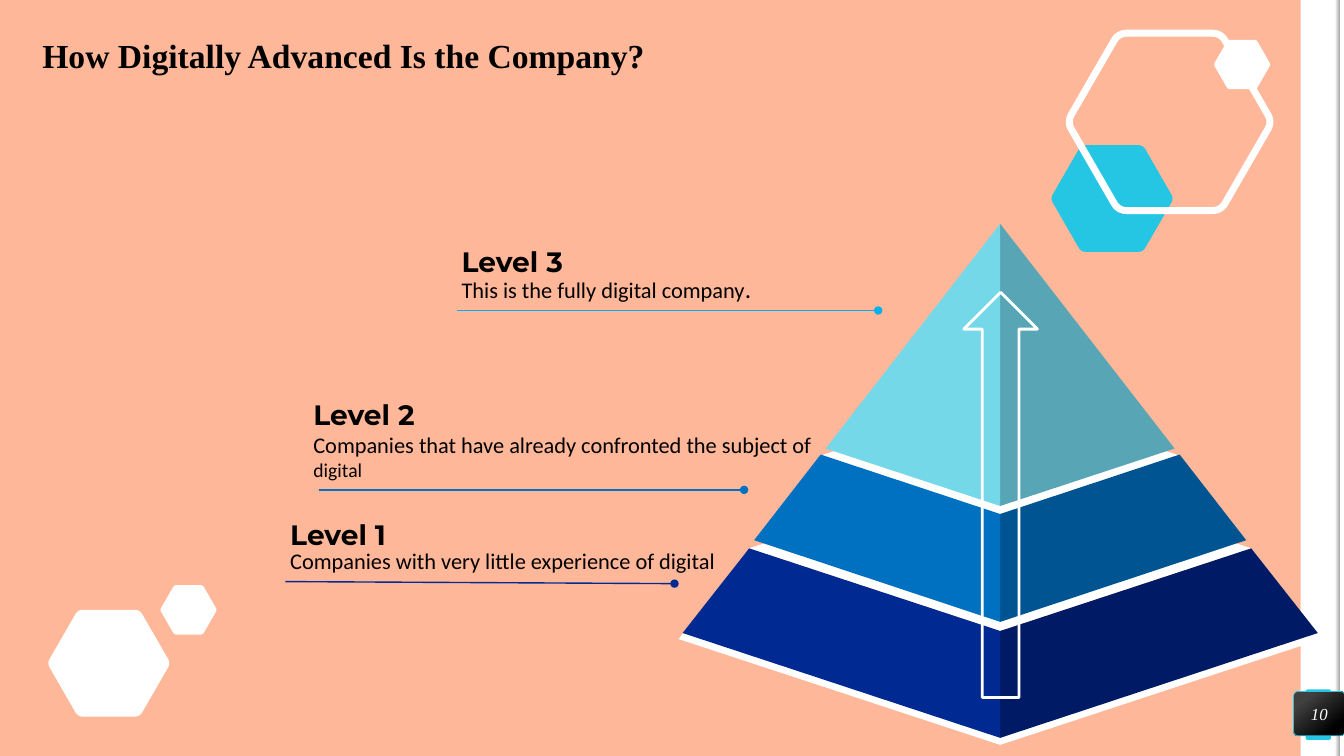
from math import cos, pi, sin, sqrt

from lxml.etree import SubElement
from pptx import Presentation
from pptx.dml.color import RGBColor
from pptx.enum.shapes import MSO_CONNECTOR, MSO_SHAPE
from pptx.enum.text import MSO_ANCHOR, PP_ALIGN
from pptx.oxml.ns import qn
from pptx.util import Inches, Pt

PEACH = RGBColor(0xFF, 0xB7, 0x99)
WHITE = RGBColor(0xFF, 0xFF, 0xFF)
BLACK = RGBColor(0x00, 0x00, 0x00)
CHARCOAL = RGBColor(0x40, 0x40, 0x40)
GREY = RGBColor(0xA6, 0xA6, 0xA6)
CYAN = RGBColor(0x25, 0xC6, 0xE3)
SKY = RGBColor(0x00, 0xB0, 0xF0)
BLUE = RGBColor(0x00, 0x70, 0xC0)
BLUE_SHADE = RGBColor(0x00, 0x54, 0x92)
NAVY = RGBColor(0x00, 0x2A, 0x92)
NAVY_SHADE = RGBColor(0x00, 0x1A, 0x66)
AQUA = RGBColor(0x75, 0xD8, 0xE9)
AQUA_SHADE = RGBColor(0x58, 0xA6, 0xB5)

AXIS = 9.92  # vertical centre line of the pyramid


def style(shape, fill=None, line=None, line_width=1):
    shape.shadow.inherit = False
    if fill is None:
        shape.fill.background()
    else:
        shape.fill.solid()
        shape.fill.fore_color.rgb = fill
    if line is None:
        shape.line.fill.background()
    else:
        shape.line.color.rgb = line
        shape.line.width = Pt(line_width)
    return shape


def add_preset(slide, kind, left, top, width, height, **look):
    shape = slide.shapes.add_shape(
        kind, Inches(left), Inches(top), Inches(width), Inches(height))
    return style(shape, **look)


def add_polygon(slide, points, **look):
    corners = [(Inches(x), Inches(y)) for x, y in points]
    builder = slide.shapes.build_freeform(*corners[0])
    builder.add_line_segments(corners[1:], close=True)
    return style(builder.convert_to_shape(), **look)


def add_hexagon(slide, center_x, center_y, height, **look):
    """Draw a regular hexagon whose corners are rounded by short curves."""
    radius = height / sqrt(3)
    vertices = [(center_x + radius * cos(i * pi / 3),
                 center_y + radius * sin(i * pi / 3)) for i in range(6)]
    cut, steps = 0.083, 6
    points = []
    for i, corner in enumerate(vertices):
        before, after = vertices[i - 1], vertices[(i + 1) % 6]
        for step in range(steps + 1):
            t = step / steps
            toward_before, toward_after = cut * (1 - t) ** 2, cut * t ** 2
            points.append(tuple(
                c + toward_before * (b - c) + toward_after * (a - c)
                for b, c, a in zip(before, corner, after)))
    add_polygon(slide, points, **look)


def set_gradient(shape, angle, *stops):
    shape.fill.gradient()
    shape.fill.gradient_angle = angle
    for stop, (position, color) in zip(shape.fill.gradient_stops, stops):
        stop.position = position
        stop.color.rgb = color


def add_run(paragraph, text, size, font="Calibri", color=BLACK,
            bold=False, italic=False):
    run = paragraph.add_run()
    run.text = text
    run.font.size = Pt(size)
    run.font.name = font
    run.font.color.rgb = color
    run.font.bold = bold
    run.font.italic = italic


def add_tier(slide, top, bottom, left_color, right_color):
    """Draw two mirrored faces; each edge is (half width, outer y, centre y)."""
    (top_half, top_outer, top_center) = top
    (bottom_half, bottom_outer, bottom_center) = bottom
    for side, color in ((1, right_color), (-1, left_color)):
        add_polygon(slide, [(AXIS, top_center),
                            (AXIS + side * top_half, top_outer),
                            (AXIS + side * bottom_half, bottom_outer),
                            (AXIS, bottom_center)], fill=color)


def add_gap(slide, half_width, top, bottom):
    """Draw the white diamond that shows below the next tier up."""
    middle = (top + bottom) / 2
    add_polygon(slide, [(AXIS, top), (AXIS + half_width, middle),
                        (AXIS, bottom), (AXIS - half_width, middle)],
                fill=WHITE)


def add_level(slide, heading, lines, left, top, width, height, spacing=None):
    """Add a heading and its lines; each line is a list of (text, size)."""
    box = slide.shapes.add_textbox(
        Inches(left), Inches(top), Inches(width), Inches(height))
    frame = box.text_frame
    frame.word_wrap = True
    for i, pieces in enumerate(lines):
        paragraph = frame.add_paragraph() if i else frame.paragraphs[0]
        if spacing:
            paragraph.line_spacing = spacing
        if i == 0:
            add_run(paragraph, heading, 20, font="Montserrat", bold=True)
            paragraph.add_line_break()
        for text, size in pieces:
            add_run(paragraph, text, size)


def add_pointer(slide, start, end, color):
    connector = slide.shapes.add_connector(
        MSO_CONNECTOR.STRAIGHT, *(Inches(value) for value in start + end))
    connector.line.color.rgb = color
    connector.line.width = Pt(1)
    SubElement(connector.line._get_or_add_ln(), qn("a:tailEnd"), type="oval")
    SubElement(connector._element.spPr, qn("a:effectLst"))


def add_title(slide, text):
    title = slide.shapes.title
    title.left, title.top = Inches(0.32), Inches(0.3)
    title.width, title.height = Inches(6.23), Inches(0.5)
    frame = title.text_frame
    frame.word_wrap = False
    frame.vertical_anchor = MSO_ANCHOR.TOP
    paragraph = frame.paragraphs[0]
    paragraph.alignment = PP_ALIGN.LEFT
    add_run(paragraph, text, 24, font="Times New Roman", bold=True)


def add_decoration(slide):
    add_preset(slide, MSO_SHAPE.RECTANGLE, 12.9, 0, 0.43, 7.5, fill=WHITE)
    tab = add_preset(slide, MSO_SHAPE.ROUNDED_RECTANGLE,
                     12.95, 6.84, 0.25, 0.5, fill=CYAN)
    tab.adjustments[0] = 0.07
    edge = add_preset(slide, MSO_SHAPE.RECTANGLE, 13.24, 0, 0.05, 7.5)
    set_gradient(edge, 0, (0, WHITE), (1, GREY))
    add_hexagon(slide, 1.08, 6.58, 1.06, fill=WHITE)
    add_hexagon(slide, 11.03, 1.97, 1.06, fill=CYAN)
    add_hexagon(slide, 11.6, 1.21, 1.76, line=WHITE, line_width=5)
    add_hexagon(slide, 1.87, 6.05, 0.49, fill=WHITE)
    add_hexagon(slide, 12.32, 0.64, 0.49, fill=WHITE)


def add_pyramid(slide):
    add_tier(slide, (2.52, 5.48, 6.31), (3.19, 6.34, 7.39), WHITE, WHITE)
    add_gap(slide, 2.49, 4.62, 6.26)
    add_tier(slide, (2.49, 5.44, 6.26), (3.15, 6.28, 7.32), NAVY, NAVY_SHADE)
    add_gap(slide, 1.78, 3.93, 5.11)
    add_tier(slide, (1.78, 4.51, 5.1), (2.44, 5.36, 6.17), BLUE, BLUE_SHADE)
    add_tier(slide, (0, 2.22, 2.22), (1.73, 4.45, 5.02), AQUA, AQUA_SHADE)
    add_preset(slide, MSO_SHAPE.UP_ARROW, 9.56, 2.9, 0.73, 4.02,
               line=WHITE, line_width=2)


def add_page_number(slide, number):
    badge = add_preset(slide, MSO_SHAPE.ROUNDED_RECTANGLE,
                       12.83, 6.86, 0.51, 0.44, line=CYAN, line_width=0.5)
    badge.adjustments[0] = 0.1
    set_gradient(badge, 310, (0.2, CHARCOAL), (0.82, BLACK))
    frame = badge.text_frame
    frame.margin_left = frame.margin_right = 0
    frame.margin_top = frame.margin_bottom = 0
    frame.vertical_anchor = MSO_ANCHOR.MIDDLE
    paragraph = frame.paragraphs[0]
    paragraph.alignment = PP_ALIGN.CENTER
    add_run(paragraph, number, 12, font="Times New Roman",
            color=WHITE, italic=True)


def main():
    presentation = Presentation()
    presentation.slide_width = Inches(13.33)
    presentation.slide_height = Inches(7.5)
    slide = presentation.slides.add_slide(presentation.slide_layouts[5])
    slide.background.fill.solid()
    slide.background.fill.fore_color.rgb = PEACH

    add_title(slide, "How Digitally Advanced Is the Company?")
    add_decoration(slide)
    add_pyramid(slide)
    add_level(slide, "Level 1",
              [[("Companies with very little experience of digital", 16)]],
              2.78, 5.14, 5.18, 0.62, spacing=0.85)
    add_pointer(slide, (2.83, 5.77), (6.69, 5.79), NAVY)
    add_level(slide, "Level 2",
              [[("Companies that have already confronted the subject of", 16)],
               [("digital", 14)]], 3.01, 3.89, 5.7, 0.94)
    add_pointer(slide, (3.16, 4.86), (7.38, 4.86), BLUE)
    add_level(slide, "Level 3",
              [[("This is the fully digital company", 16), (".", 18)]],
              4.48, 2.43, 3.6, 0.64, spacing=0.85)
    add_pointer(slide, (4.53, 3.08), (8.71, 3.08), SKY)
    add_page_number(slide, "10")
    presentation.save("out.pptx")


if __name__ == "__main__":
    main()
